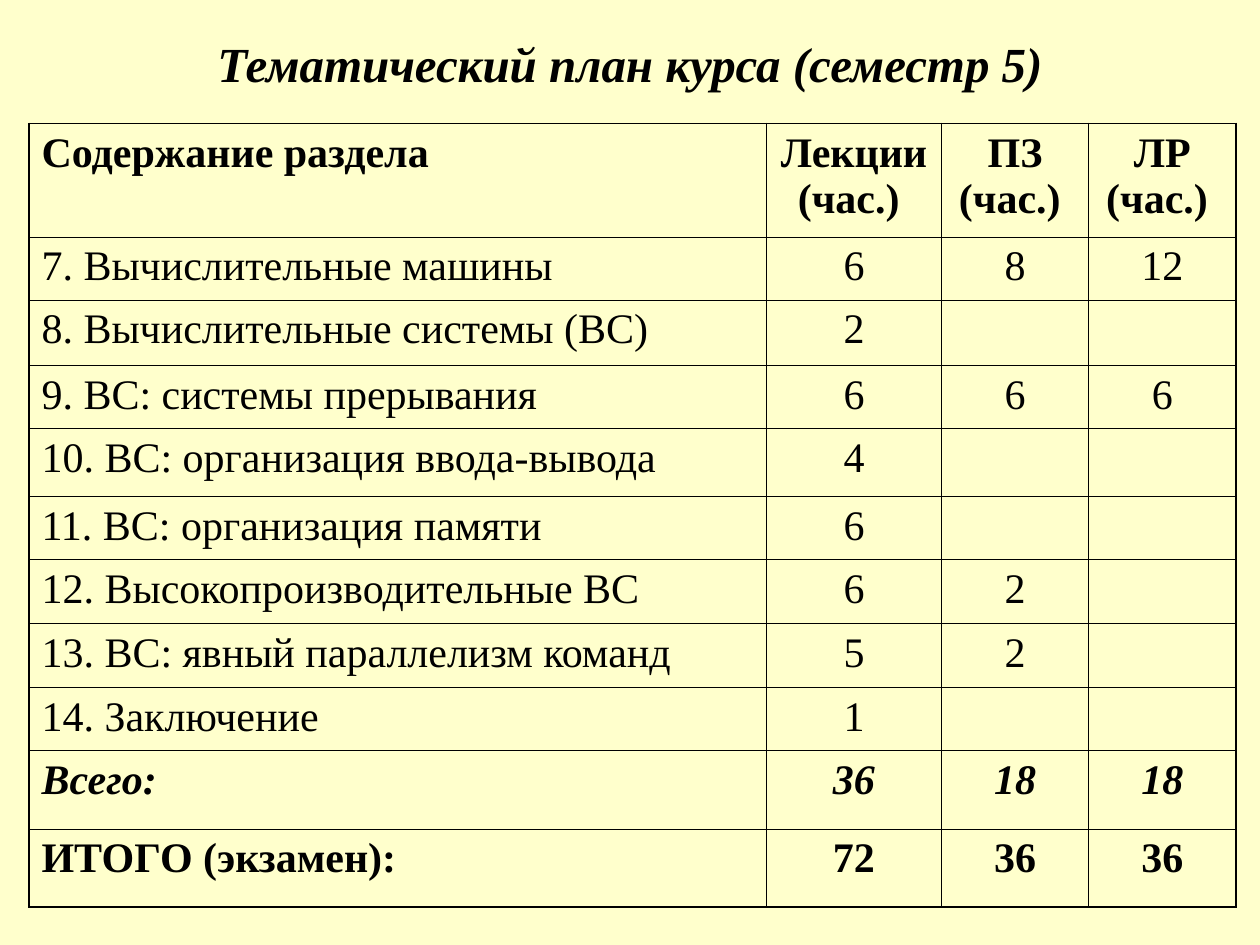
import dataclasses

import lxml.etree
import pptx
import pptx.dml.color
import pptx.enum.text
import pptx.oxml.ns
import pptx.util

Inches = pptx.util.Inches
Pt = pptx.util.Pt
ALIGN = pptx.enum.text.PP_ALIGN
ANCHOR = pptx.enum.text.MSO_ANCHOR


@dataclasses.dataclass(frozen=True)
class Theme:
    font: str = "Times New Roman"
    background: str = "FFFFCC"
    ink: str = "000000"
    title_size: float = 28
    body_size: float = 24
    space_before: float = 6
    outer_line: float = 1.08
    inner_line: float = 0.45


THEME = Theme()

HEADER = ("Содержание раздела", "Лекции (час.) ", "ПЗ (час.) ", "ЛР (час.) ")
SECTIONS = [
    ("7. Вычислительные машины", "6", "8", "12"),
    ("8. Вычислительные системы (ВС)", "2", "", ""),
    ("9. ВС: системы прерывания", "6", "6", "6"),
    ("10. ВС: организация ввода-вывода", "4", "", ""),
    ("11. ВС: организация памяти", "6", "", ""),
    ("12. Высокопроизводительные ВС", "6", "2", ""),
    ("13. ВС: явный параллелизм команд", "5", "2", ""),
    ("14. Заключение", "1", "", ""),
]
TOTAL = ("Всего:", "36", "18", "18")
GRAND_TOTAL = ("ИТОГО (экзамен):", "72", "36", "36")

# Each row: texts, bold, italic
ROWS = [
    (HEADER, True, False),
    *((section, False, False) for section in SECTIONS),
    (TOTAL, True, True),
    (GRAND_TOTAL, True, False),
]
COL_WIDTHS = (5.86, 1.39, 1.17, 1.17)
ROW_HEIGHTS = (0.9, 0.5, 0.52, 0.5, 0.54, 0.5, 0.51, 0.51, 0.5, 0.62, 0.62)


def rgb(value):
    return pptx.dml.color.RGBColor.from_string(value)


def add_run(p, text, size, bold, italic):
    r = p.add_run()
    r.text = text
    r.font.name = THEME.font
    r.font.size = Pt(size)
    r.font.bold = bold
    r.font.italic = italic
    r.font.color.rgb = rgb(THEME.ink)


def set_border(cell, side, width):
    qn = pptx.oxml.ns.qn
    tc_pr = cell._tc.get_or_add_tcPr()
    ln = lxml.etree.SubElement(tc_pr, qn(f"a:ln{side}"), w=str(Pt(width)))
    fill = lxml.etree.SubElement(ln, qn("a:solidFill"))
    lxml.etree.SubElement(fill, qn("a:srgbClr"), val=THEME.ink)


def add_title(s, text, left, top, width, height):
    sp = s.shapes.title
    sp.left, sp.top, sp.width, sp.height = left, top, width, height
    tf = sp.text_frame
    tf.word_wrap = True
    tf.vertical_anchor = ANCHOR.MIDDLE
    p = tf.paragraphs[0]
    p.alignment = ALIGN.CENTER
    add_run(p, text, THEME.title_size, True, True)


def fill_cell(cell, text, align, bold, italic, edges):
    # Outer edges are heavier than the inner grid
    for side, is_outer in edges.items():
        set_border(cell, side, THEME.outer_line if is_outer else THEME.inner_line)
    cell.fill.solid()
    cell.fill.fore_color.rgb = rgb(THEME.background)
    cell.margin_left = cell.margin_right = Inches(0.1)
    cell.margin_top = cell.margin_bottom = Inches(0.05)
    cell.vertical_anchor = ANCHOR.TOP
    if text:
        p = cell.text_frame.paragraphs[0]
        p.alignment = align
        p.space_before = Pt(THEME.space_before)
        add_run(p, text, THEME.body_size, bold, italic)


def add_plan_table(s, left, top, width, height):
    last_row, last_col = len(ROWS) - 1, len(COL_WIDTHS) - 1
    table = s.shapes.add_table(len(ROWS), len(COL_WIDTHS), left, top, width, height).table
    table.first_row = table.horz_banding = False
    for column, size in zip(table.columns, COL_WIDTHS):
        column.width = int(width * size / sum(COL_WIDTHS))
    for row, size in zip(table.rows, ROW_HEIGHTS):
        row.height = int(height * size / sum(ROW_HEIGHTS))
    for i, (texts, bold, italic) in enumerate(ROWS):
        for j, text in enumerate(texts):
            edges = {"L": j == 0, "R": j == last_col, "T": i == 0, "B": i == last_row}
            align = ALIGN.CENTER if j else ALIGN.LEFT
            fill_cell(table.cell(i, j), text, align, bold, italic, edges)


def main():
    prs = pptx.Presentation()
    prs.slide_width, prs.slide_height = Inches(10), Inches(7.5)
    s = prs.slides.add_slide(prs.slide_layouts[5])
    s.background.fill.solid()
    s.background.fill.fore_color.rgb = rgb(THEME.background)

    # Heading, then the table of hours
    add_title(s, "Тематический план курса (семестр 5)",
              Inches(0.5), Inches(0.11), Inches(9), Inches(0.78))
    add_plan_table(s, Inches(0.23), Inches(0.98), Inches(9.58), Inches(6.22))
    prs.save("out.pptx")


if __name__ == "__main__":
    main()
